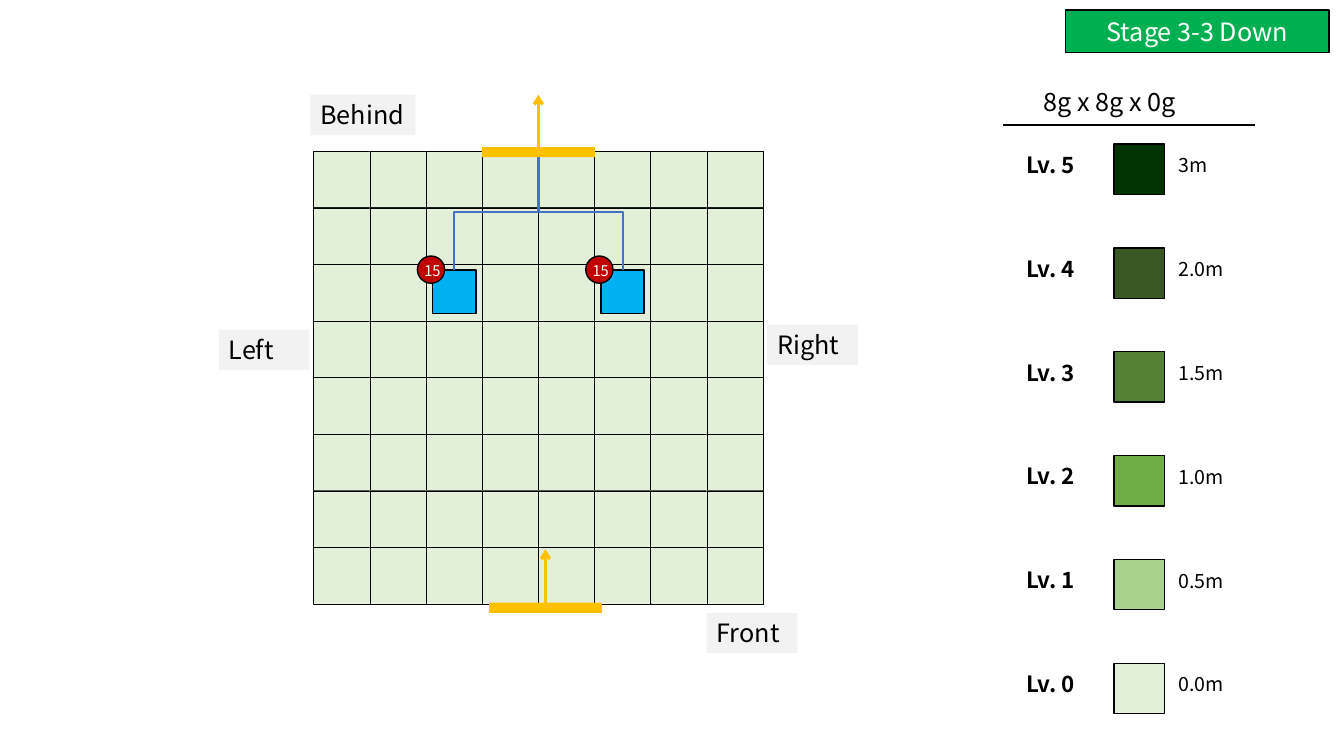
from typing import NamedTuple, Optional

from lxml import etree
from pptx import Presentation
from pptx.dml.color import RGBColor
from pptx.enum.shapes import MSO_CONNECTOR, MSO_SHAPE
from pptx.enum.text import MSO_ANCHOR, MSO_AUTO_SIZE, PP_ALIGN
from pptx.oxml.ns import qn
from pptx.util import Inches, Pt

RECTANGLE, OVAL = MSO_SHAPE.RECTANGLE, MSO_SHAPE.OVAL
STRAIGHT, ELBOW = MSO_CONNECTOR.STRAIGHT, MSO_CONNECTOR.ELBOW
TOP, MIDDLE = MSO_ANCHOR.TOP, MSO_ANCHOR.MIDDLE
LEFT, CENTER = PP_ALIGN.LEFT, PP_ALIGN.CENTER
NO_AUTOFIT = MSO_AUTO_SIZE.NONE

FONT = "Noto Sans CJK KR"
BLACK = RGBColor(0x00, 0x00, 0x00)
WHITE = RGBColor(0xFF, 0xFF, 0xFF)
STAGE_GREEN = RGBColor(0x00, 0xB0, 0x50)
LABEL_GRAY = RGBColor(0xF2, 0xF2, 0xF2)
SPAWN_BLUE = RGBColor(0x00, 0xB0, 0xF0)
BADGE_RED = RGBColor(0xC0, 0x00, 0x00)
ROUTE_BLUE = RGBColor(0x44, 0x72, 0xC4)
GATE_GOLD = RGBColor(0xFF, 0xC0, 0x00)
LEVEL_0 = RGBColor(0xE2, 0xF0, 0xD9)
LEVEL_1 = RGBColor(0xA9, 0xD1, 0x8E)
LEVEL_2 = RGBColor(0x70, 0xAD, 0x47)
LEVEL_3 = RGBColor(0x54, 0x82, 0x35)
LEVEL_4 = RGBColor(0x38, 0x57, 0x23)
LEVEL_5 = RGBColor(0x00, 0x33, 0x00)


class Box(NamedTuple):
    left: float
    top: float
    width: float
    height: float


class Point(NamedTuple):
    x: float
    y: float


class SideLabel(NamedTuple):
    text: str
    box: Box


class Level(NamedTuple):
    name: str
    height: str
    color: RGBColor


class Gate(NamedTuple):
    bar: Box
    arrow_tip: float


SIDE_LABELS = [
    SideLabel("Behind", Box(3.08, 0.94, 1.04, 0.4)),
    SideLabel("Left", Box(2.17, 3.27, 0.9, 0.4)),
    SideLabel("Front", Box(7.01, 6.08, 0.9, 0.4)),
    SideLabel("Right", Box(7.61, 3.22, 0.9, 0.4)),
]
LEVELS = [
    Level("Lv. 5", "3m", LEVEL_5),
    Level("Lv. 4", "2.0m", LEVEL_4),
    Level("Lv. 3", "1.5m", LEVEL_3),
    Level("Lv. 2", "1.0m", LEVEL_2),
    Level("Lv. 1", "0.5m", LEVEL_1),
    Level("Lv. 0", "0.0m", LEVEL_0),
]
GATES = [Gate(Box(4.78, 1.46, 1.12, 0.1), 0.94),
         Gate(Box(4.85, 5.98, 1.12, 0.1), 5.45)]
SPAWN_LEFTS = [5.96, 4.29]
SPAWN_TOP, SPAWN_SIZE = 2.68, 0.43
EXIT = Point(5.34, 1.52)
GRID_COUNT, CELL_SIZE = 8, 0.56
GRID_START, GRID_LAST = Point(3.11, 1.5), Point(7.01, 5.43)
LEVEL_PITCH = 1.03

presentation = Presentation()
presentation.slide_width = Inches(13.33)
presentation.slide_height = Inches(7.5)
TITLE_ONLY = presentation.slide_layouts[5]
slide = presentation.slides.add_slide(TITLE_ONLY)
shapes = slide.shapes


def write(shape, text: str, size: float, color: RGBColor = BLACK, bold: bool = False,
          align: PP_ALIGN = LEFT, anchor: MSO_ANCHOR = TOP, wrap: bool = True) -> None:
    frame = shape.text_frame
    frame_format = {
        "word_wrap": wrap, "auto_size": NO_AUTOFIT, "vertical_anchor": anchor,
        "margin_left": Inches(0.1), "margin_right": Inches(0.1),
        "margin_top": Inches(0.05), "margin_bottom": Inches(0.05),
    }
    for name, value in frame_format.items():
        setattr(frame, name, value)
    paragraph = frame.paragraphs[0]
    paragraph.alignment = align
    run = paragraph.add_run()
    run.text = text
    for name, value in {"name": FONT, "size": Pt(size), "bold": bold}.items():
        setattr(run.font, name, value)
    run.font.color.rgb = color


def paint(shape, fill: RGBColor, line_width: Optional[float]) -> None:
    shape.fill.solid()
    shape.fill.fore_color.rgb = fill
    if line_width is None:
        shape.line.fill.background()
    else:
        shape.line.color.rgb = BLACK
        shape.line.width = Pt(line_width)


def add_block(box: Box, fill: RGBColor, line_width: Optional[float] = None,
              kind: MSO_SHAPE = RECTANGLE):
    block = shapes.add_shape(kind, *map(Inches, box))
    block.shadow.inherit = False
    paint(block, fill, line_width)
    return block


def add_label(box: Box, text: str, size: float, **text_format) -> None:
    write(shapes.add_textbox(*map(Inches, box)), text, size, **text_format)


def add_line(start: Point, end: Point, color: RGBColor, width: float,
             kind: MSO_CONNECTOR = STRAIGHT, arrow: bool = False):
    line = shapes.add_connector(kind, *map(Inches, (*start, *end)))
    line.line.color.rgb = color
    line.line.width = Pt(width)
    properties = line._element.spPr
    if arrow:
        etree.SubElement(properties.find(qn("a:ln")), qn("a:tailEnd"), type="arrow")
    etree.SubElement(properties, qn("a:effectLst"))
    return line


def add_route(start: Point, end: Point) -> None:
    """Elbow that leaves and arrives vertically, made by a quarter turn."""
    center = Point((start.x + end.x) / 2, (start.y + end.y) / 2)
    turn = 1 if end.x > start.x else -1
    across = turn * (start.y - end.y) / 2
    along = abs(end.x - start.x) / 2
    route = add_line(Point(center.x + across, center.y + along),
                     Point(center.x - across, center.y - along),
                     ROUTE_BLUE, 1.5, ELBOW)
    route._element.spPr.find(qn("a:xfrm")).set("rot", str(turn * 90 % 360 * 60000))


# Stage title
title = shapes.title
title_place = {"left": 10.57, "top": 0.1, "width": 2.61, "height": 0.42}
for side, length in title_place.items():
    setattr(title, side, Inches(length))
outline = etree.SubElement(title._element.spPr, qn("a:prstGeom"), prst="roundRect")
etree.SubElement(outline, qn("a:avLst"))
paint(title, STAGE_GREEN, 1)
write(title, "Stage 3-3 Down", 18, WHITE, align=CENTER, anchor=MIDDLE)

# Floor grid
column_pitch = (GRID_LAST.x - GRID_START.x) / (GRID_COUNT - 1)
row_pitch = (GRID_LAST.y - GRID_START.y) / (GRID_COUNT - 1)
for row in range(GRID_COUNT):
    for column in range(GRID_COUNT):
        add_block(Box(GRID_START.x + column * column_pitch, GRID_START.y + row * row_pitch,
                      CELL_SIZE, CELL_SIZE), LEVEL_0, 0.25)

# Side labels
for label in SIDE_LABELS:
    write(add_block(label.box, LABEL_GRAY), label.text, 18)

# Spawn points with counts
for left in SPAWN_LEFTS:
    add_block(Box(left, SPAWN_TOP, SPAWN_SIZE, SPAWN_SIZE), SPAWN_BLUE, 1)
    add_block(Box(left - 0.15, SPAWN_TOP - 0.14, 0.27, 0.27), BADGE_RED, 1, OVAL)
    add_label(Box(left - 0.18, SPAWN_TOP - 0.13, 0.36, 0.28), "15", 10.5,
              color=WHITE, wrap=False)

# Height legend
add_line(Point(9.95, 1.24), Point(12.45, 1.24), BLACK, 1)
add_label(Box(10.25, 0.81, 2.54, 0.4), "8g x 8g x 0g", 18)
for index, level in enumerate(LEVELS):
    top = 1.43 + index * LEVEL_PITCH
    add_block(Box(11.05, top, 0.5, 0.5), level.color, 1)
    add_label(Box(11.59, top + 0.04, 1.71, 0.34), level.height, 14)
    add_label(Box(10.08, top + 0.02, 1.07, 0.37), level.name, 16, bold=True)

# Routes to the exit
for left in SPAWN_LEFTS:
    add_route(Point(left + SPAWN_SIZE / 2, SPAWN_TOP), EXIT)

# Gates and walking direction
for gate in GATES:
    add_block(gate.bar, GATE_GOLD)
    middle = gate.bar.left + gate.bar.width / 2
    add_line(Point(middle, gate.bar.top), Point(middle, gate.arrow_tip),
             GATE_GOLD, 2.25, arrow=True)

presentation.save("out.pptx")
